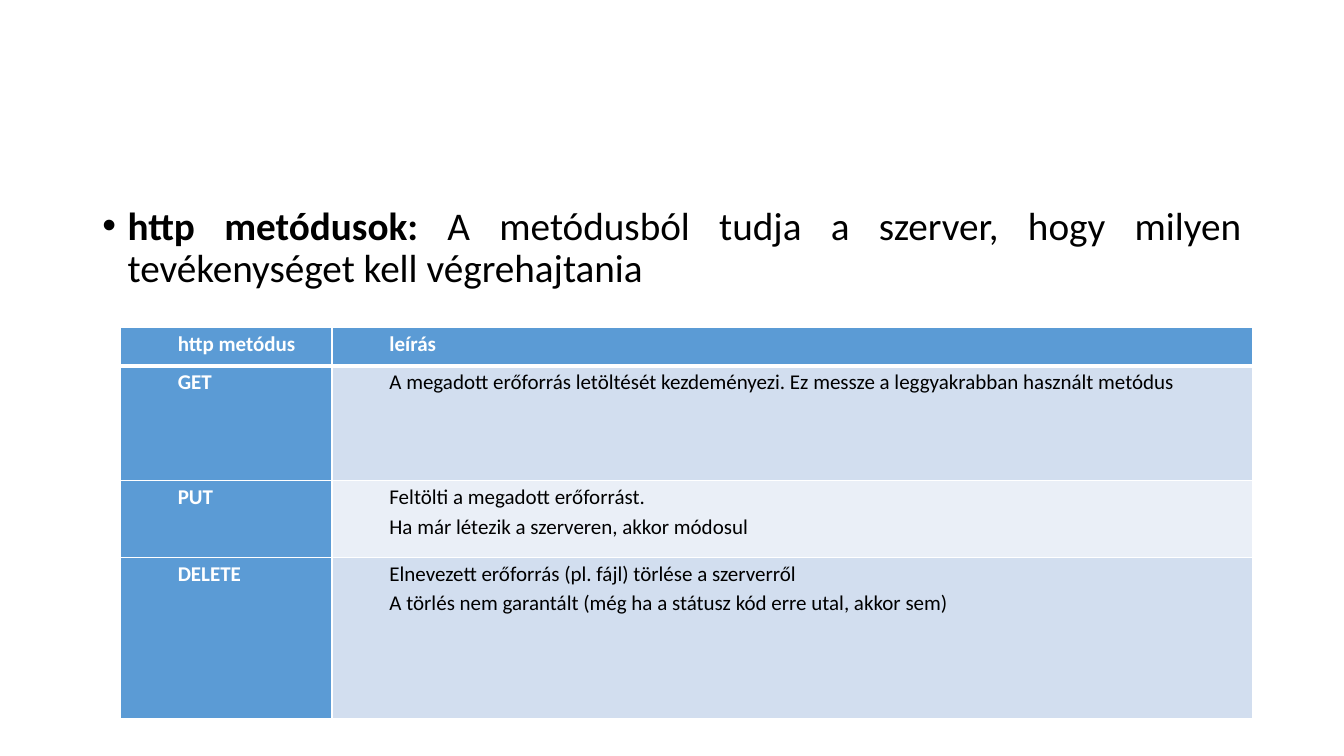
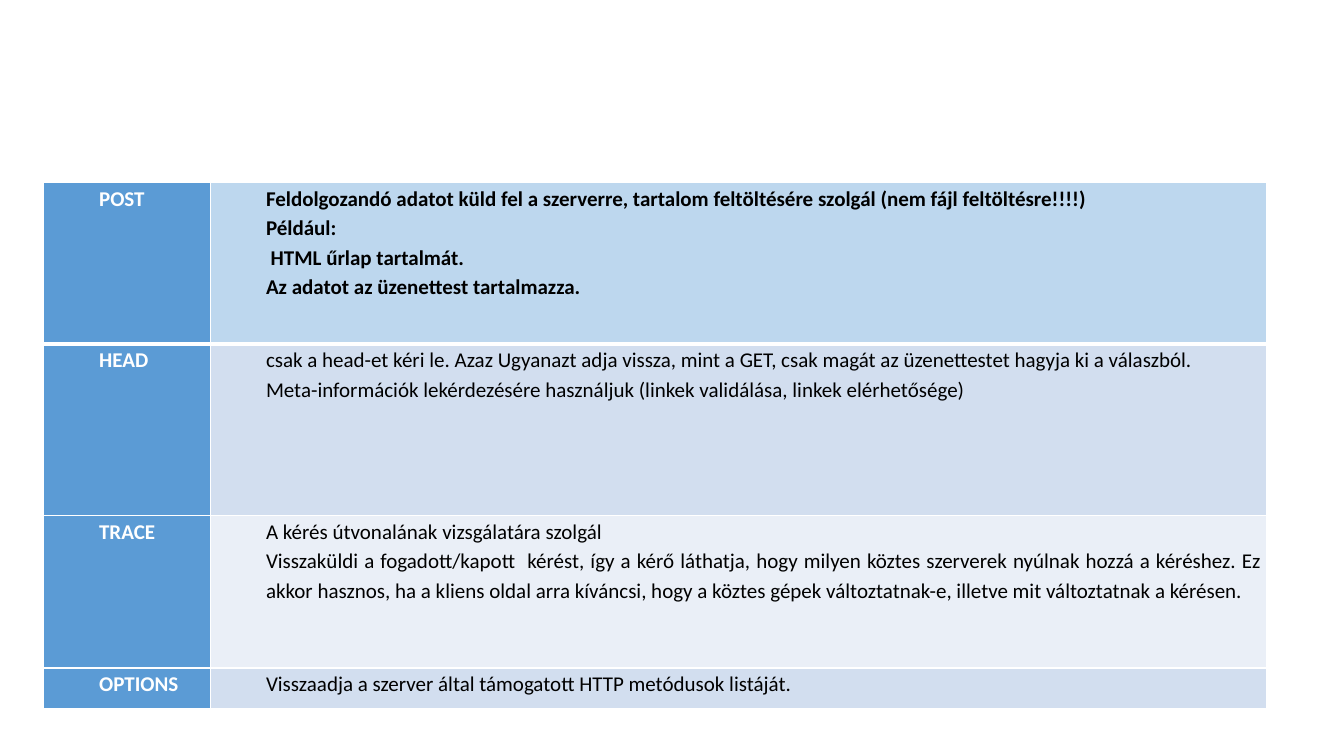
from dataclasses import dataclass

from lxml.etree import SubElement
from pptx import Presentation
from pptx.dml.color import RGBColor
from pptx.enum.text import MSO_ANCHOR, MSO_AUTO_SIZE, PP_ALIGN
from pptx.oxml.ns import qn
from pptx.util import Pt

FONT = "Calibri"
WHITE = "FFFFFF"
BLACK = "000000"
BLUE = "5B9BD5"
LIGHT_BLUE = "BDD7EE"
BAND_DARK = "D2DEEF"
BAND_LIGHT = "EAEFF7"
THIN, THICK = 1, 3
TITLE_AND_CONTENT, BLANK = 1, 6


@dataclass(frozen=True)
class MethodRow:
    method: str
    description: str
    height: float


@dataclass(frozen=True)
class MethodTable:
    left: float
    top: float
    column_widths: tuple[float, float]
    margin: float
    first_row_fill: str
    first_row_color: str
    rows: tuple[MethodRow, ...]


def color(value: str) -> RGBColor:
    return RGBColor.from_string(value)


def format_run(run, size: float, font_color: str, bold: bool) -> None:
    run.font.name = FONT
    run.font.size = Pt(size)
    run.font.bold = bold
    run.font.color.rgb = color(font_color)


def format_paragraph(paragraph, left: float, first_line: float, spacing: float) -> None:
    paragraph.alignment = PP_ALIGN.JUSTIFY
    paragraph.line_spacing = spacing
    properties = paragraph._p.get_or_add_pPr()
    properties.set("marL", str(Pt(left)))
    properties.set("indent", str(Pt(first_line)))


def add_borders(cell, top: float, bottom: float) -> None:
    properties = cell._tc.get_or_add_tcPr()
    for side, width in (("L", THIN), ("R", THIN), ("T", top), ("B", bottom)):
        line = SubElement(properties, qn(f"a:ln{side}"), w=str(Pt(width)))
        fill = SubElement(line, qn("a:solidFill"))
        SubElement(fill, qn("a:srgbClr"), val=WHITE)


def fill_cell(cell, text: str, fill: str, font_color: str, bold: bool, margin: float) -> None:
    cell.fill.solid()
    cell.fill.fore_color.rgb = color(fill)
    cell.vertical_anchor = MSO_ANCHOR.TOP
    cell.margin_left = cell.margin_right = Pt(margin)
    cell.margin_top = cell.margin_bottom = Pt(0)
    cell.text_frame.text = text
    for paragraph in cell.text_frame.paragraphs:
        format_paragraph(paragraph, 36, 0, 1.15)
        for run in paragraph.runs:
            format_run(run, 15, font_color, bold)


def add_method_table(slide, content: MethodTable) -> None:
    shape = slide.shapes.add_table(
        len(content.rows), 2, Pt(content.left), Pt(content.top),
        Pt(sum(content.column_widths)), Pt(sum(row.height for row in content.rows)),
    )
    table = shape.table
    table.horz_banding = False
    for column, width in zip(table.columns, content.column_widths):
        column.width = Pt(width)
    for index, row in enumerate(content.rows):
        table.rows[index].height = Pt(row.height)
        first = index == 0
        method_cell, description_cell = table.cell(index, 0), table.cell(index, 1)
        for cell in (method_cell, description_cell):
            add_borders(cell, THICK if index == 1 else THIN, THICK if first else THIN)
        band = BAND_DARK if index % 2 else BAND_LIGHT
        fill_cell(method_cell, row.method, BLUE, WHITE, True, content.margin)
        fill_cell(
            description_cell, row.description,
            content.first_row_fill if first else band,
            content.first_row_color if first else BLACK,
            first, content.margin,
        )


def add_introduction(slide, term: str, explanation: str) -> None:
    title, body = slide.placeholders
    title.element.getparent().remove(title.element)
    body.left, body.top, body.width, body.height = Pt(66), Pt(144), Pt(828), Pt(342.6)
    text_frame = body.text_frame
    text_frame.auto_size = MSO_AUTO_SIZE.NONE
    paragraph = text_frame.paragraphs[0]
    format_paragraph(paragraph, 18, -18, 0.9)
    paragraph.space_before = Pt(10)
    for text, bold in ((term, True), (explanation, False)):
        run = paragraph.add_run()
        run.text = text
        format_run(run, 28, BLACK, bold)


BASIC_METHODS = MethodTable(
    86, 234, (151.2, 657.4), 5, BLUE, WHITE,
    (
        MethodRow("http metódus", "leírás", 27.4),
        MethodRow(
            "GET",
            "A megadott erőforrás letöltését kezdeményezi. "
            "Ez messze a leggyakrabban használt metódus",
            82,
        ),
        MethodRow(
            "PUT",
            "Feltölti a megadott erőforrást.\n"
            "Ha már létezik a szerveren, akkor módosul",
            54.7,
        ),
        MethodRow(
            "DELETE",
            "Elnevezett erőforrás (pl. fájl) törlése a szerverről\n"
            "A törlés nem garantált (még ha a státusz kód erre utal, akkor sem)",
            115.5,
        ),
    ),
)

FURTHER_METHODS = MethodTable(
    31.2, 130.3, (119.2, 754.4), 3.6, LIGHT_BLUE, BLACK,
    (
        MethodRow(
            "POST",
            "Feldolgozandó adatot küld fel a szerverre, "
            "tartalom feltöltésére szolgál (nem fájl feltöltésre!!!!)\n"
            "Például:\n"
            " HTML űrlap tartalmát.\n"
            "Az adatot az üzenettest tartalmazza.",
            115.2,
        ),
        MethodRow(
            "HEAD",
            "csak a head-et kéri le. Azaz Ugyanazt adja vissza, mint a GET, "
            "csak magát az üzenettestet hagyja ki a válaszból.\n"
            "Meta-információk lekérdezésére használjuk "
            "(linkek validálása, linkek elérhetősége)",
            122.6,
        ),
        MethodRow(
            "TRACE",
            "A kérés útvonalának vizsgálatára szolgál\n"
            "Visszaküldi a fogadott/kapott  kérést, így a kérő láthatja, "
            "hogy milyen köztes szerverek nyúlnak hozzá a kéréshez. "
            "Ez akkor hasznos, ha a kliens oldal arra kíváncsi, "
            "hogy a köztes gépek változtatnak-e, "
            "illetve mit változtatnak a kérésen.",
            109,
        ),
        MethodRow(
            "OPTIONS",
            "Visszaadja a szerver által támogatott HTTP metódusok listáját.",
            28.8,
        ),
    ),
)


def main() -> None:
    presentation = Presentation()
    presentation.slide_width, presentation.slide_height = Pt(960), Pt(540)
    layouts = presentation.slide_layouts

    basic_slide = presentation.slides.add_slide(layouts[TITLE_AND_CONTENT])
    add_introduction(
        basic_slide,
        "http metódusok: ",
        "A metódusból tudja a szerver, hogy milyen tevékenységet kell végrehajtania",
    )
    add_method_table(basic_slide, BASIC_METHODS)

    further_slide = presentation.slides.add_slide(layouts[BLANK])
    add_method_table(further_slide, FURTHER_METHODS)

    presentation.save("out.pptx")


main()
